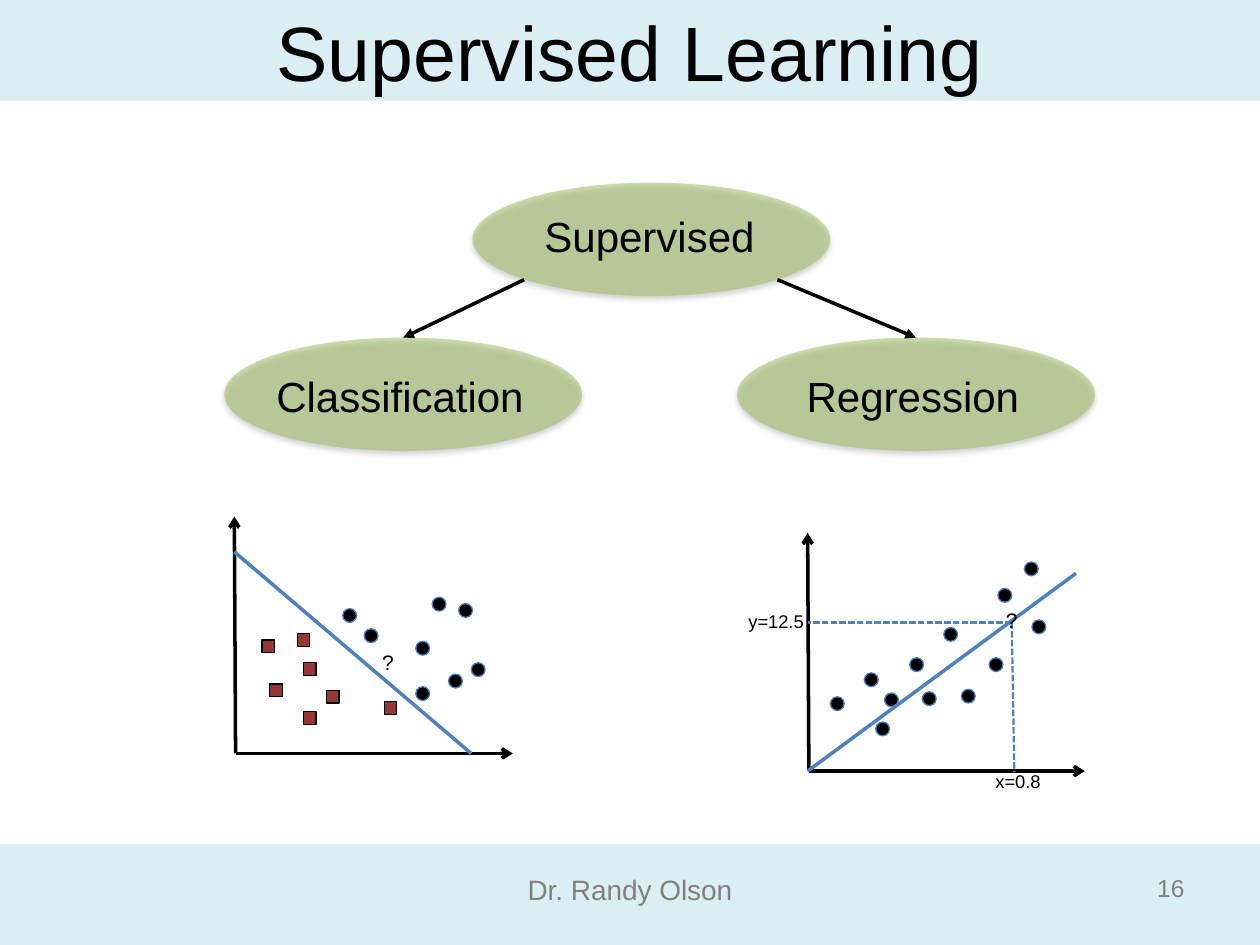
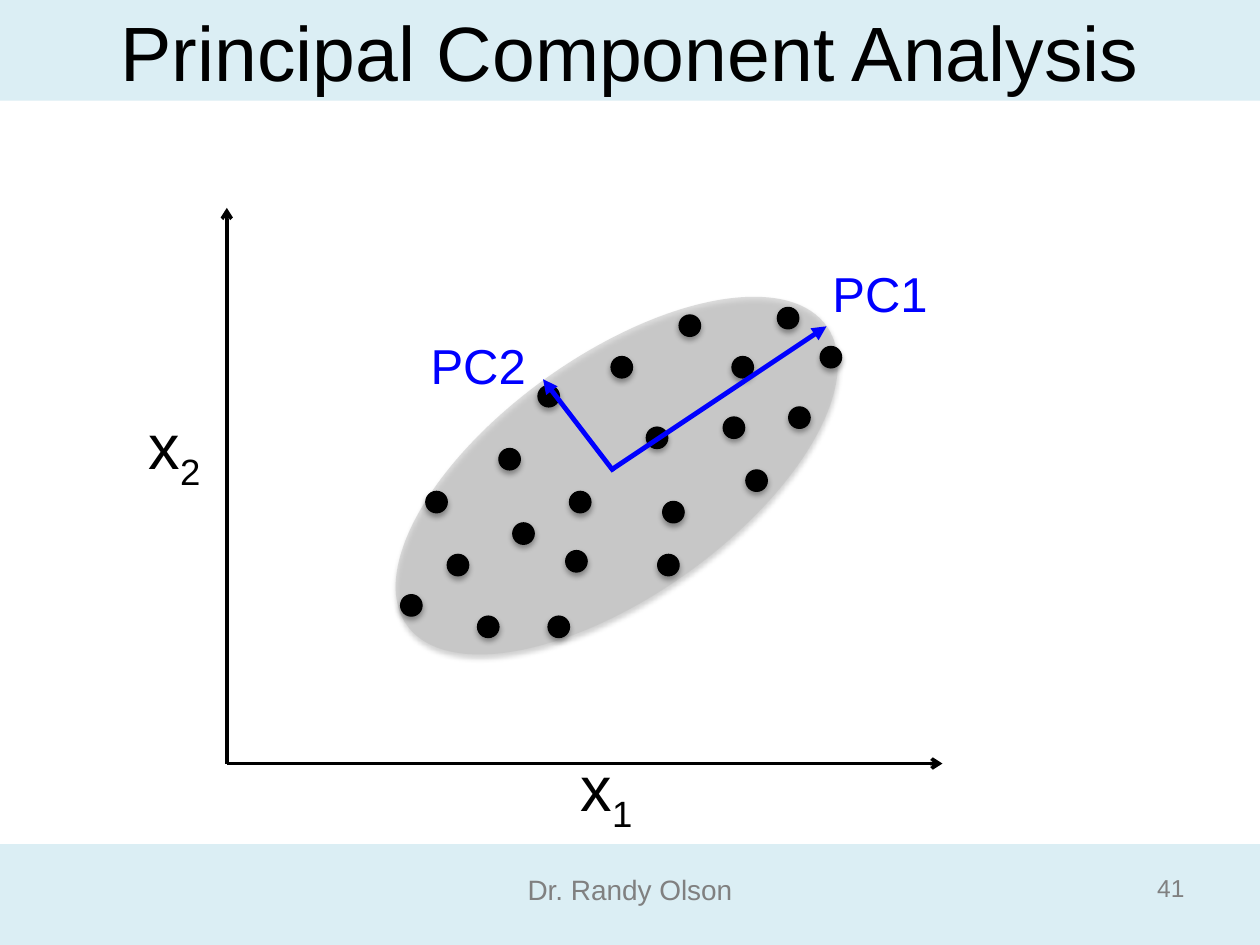
from pptx import Presentation
from pptx.dml.color import RGBColor
from pptx.enum.dml import MSO_LINE
from pptx.enum.shapes import MSO_CONNECTOR, MSO_SHAPE
from pptx.enum.text import MSO_ANCHOR, MSO_AUTO_SIZE, PP_ALIGN
from pptx.oxml.ns import qn
from pptx.util import Emu, Pt
from lxml import etree

PX = 9144  # 100 px to the inch
SLIDE_W, SLIDE_H, BAND_H = 1000, 750, 80
FONT = "Arial"
OVAL, RECT = MSO_SHAPE.OVAL, MSO_SHAPE.RECTANGLE
STRAIGHT = MSO_CONNECTOR.STRAIGHT
DASHED = MSO_LINE.SQUARE_DOT
CENTER, RIGHT = PP_ALIGN.CENTER, PP_ALIGN.RIGHT
TOP, MIDDLE = MSO_ANCHOR.TOP, MSO_ANCHOR.MIDDLE
C = {
    "band": "DBEEF4", "ink": "000000", "muted": "808080",
    "green": "9BBB59", "cloud": "BFBFBF", "red": "953735",
    "line": "4F81BD", "rim": "4B7EBC", "pc": "0000FF",
}

AUTHOR = "Dr. Randy Olson"

# Supervised learning: label, ellipse left and top, label left and top
NODE_SIZE = (284, 90)
NODES = [
    ("Supervised", (375, 145), (379, 162)),
    ("Classification", (178, 268), (181, 289)),
    ("Regression", (585, 268), (588, 289)),
]
BRANCH_STARTS = [(416, 222), (617, 222)]

# Axes: origin, tip of y axis, tip of x axis
CLASS_AXES = ((187, 598), (186, 410), (407, 598))
CLASS_BOUNDARY = ((186, 438), (374, 598))
CLASS_DOTS = [(330, 545), (356, 535), (330, 509), (343, 474), (364, 479),
              (374, 526), (272, 483), (289, 499)]
CLASS_SQUARES = [(208, 508), (214, 543), (241, 526), (305, 557), (236, 503),
                 (259, 548), (241, 565)]

REG_AXES = ((642, 612), (641, 423), (861, 612))
REG_FIT = ((641, 612), (854, 455))
REG_GUIDES = [((803, 494), (805, 613)), ((803, 494), (641, 494))]
REG_DOTS = [(659, 553), (686, 534), (702, 550), (722, 522), (732, 549),
            (749, 498), (785, 522), (792, 467), (763, 547), (819, 492),
            (813, 446), (695, 573)]
PLOT_LABELS = [
    ("x=0.8", (741, 606, 134, 29), 10.5),
    ("y=12.5", (549, 479, 134, 29), 10.5),
    ("?", (290, 511, 36, 30), 12),
    ("?", (785, 477, 36, 30), 12),
]

# Principal component analysis
PCA_AXES = ((180, 606), (180, 165), (748, 606))
PCA_CLOUD = (285, 282, 409, 191)
PCA_DOTS = [(355, 440), (396, 356), (485, 283), (581, 283), (513, 339),
            (522, 440), (592, 373), (626, 323), (651, 275), (617, 244),
            (539, 250), (427, 306), (435, 489), (452, 390), (526, 398),
            (449, 437), (407, 415), (379, 489), (318, 472), (338, 390),
            (574, 331)]
PCA_AXIS_LABELS = [("x", "1", (426, 589, 111, 71)), ("x", "2", (83, 318, 111, 71))]
PCA_VECTORS = [
    ((485, 373), (656, 259), "PC1", (643, 204, 111, 57)),
    ((487, 374), (431, 301), "PC2", (324, 261, 111, 57)),
]


def rgb(name):
    return RGBColor.from_string(C[name])


def emu(lengths):
    return [Emu(v * PX) for v in lengths]


def add_sub(parent, tag, **attrs):
    return etree.SubElement(parent, qn(tag), attrs)


def add_shape(slide, kind, box, fill, rim=None, alpha=None, shadow=False):
    sp = slide.shapes.add_shape(kind, *emu(box))
    sp.shadow.inherit = False
    sp.fill.solid()
    sp.fill.fore_color.rgb = rgb(fill)
    if rim:
        sp.line.color.rgb = rgb(rim)
        sp.line.width = Pt(0.75)
    else:
        sp.line.fill.background()
    sp_pr = sp._element.spPr
    if alpha:
        add_sub(sp_pr.find(qn("a:solidFill"))[0], "a:alpha", val=str(alpha * 1000))
    if shadow:
        outer = add_sub(sp_pr.find(qn("a:effectLst")), "a:outerShdw", blurRad="40000",
                        dist="23000", dir="5400000", rotWithShape="0")
        color = add_sub(outer, "a:srgbClr", val=C["ink"])
        add_sub(color, "a:alpha", val="35000")
    return sp


def add_marks(slide, kind, points, size, fill, rim, shadow=False):
    for x, y in points:
        add_shape(slide, kind, (x, y, size, size), fill, rim, shadow=shadow)


def add_line(slide, start, end, color="ink", width=2, head=None, dash=None):
    cx = slide.shapes.add_connector(STRAIGHT, *emu(start + end))
    cx.line.color.rgb = rgb(color)
    cx.line.width = Pt(width)
    if dash:
        cx.line.dash_style = dash
    sp_pr = cx._element.spPr
    if head:
        add_sub(sp_pr.find(qn("a:ln")), "a:tailEnd", type=head)
    add_sub(sp_pr, "a:effectLst")
    return cx


def add_axes(slide, axes):
    origin, *tips = axes
    for tip in tips:
        add_line(slide, origin, tip, head="arrow")


def add_text(slide, text, box, size, color="ink", align=CENTER, anchor=TOP, sub=None):
    """Add a one-line label, with an optional subscript run."""
    tf = slide.shapes.add_textbox(*emu(box)).text_frame
    tf.word_wrap = True
    tf.vertical_anchor = anchor
    tf.auto_size = MSO_AUTO_SIZE.SHAPE_TO_FIT_TEXT if anchor == TOP else MSO_AUTO_SIZE.NONE
    p = tf.paragraphs[0]
    p.text = text
    p.alignment = align
    if sub:
        r = p.add_run()
        r.text = sub
        r.font._element.set("baseline", "-25000")
    for r in p.runs:
        r.font.name = FONT
        r.font.size = Pt(size)
        r.font.color.rgb = rgb(color)


def new_slide(prs, title, number):
    """Add a blank slide with bands, title, author and page number."""
    slide = prs.slides.add_slide(prs.slide_layouts[6])
    for top in (SLIDE_H - BAND_H, 0):
        add_shape(slide, RECT, (0, top, SLIDE_W, BAND_H), "band")
    add_text(slide, AUTHOR, (50, 688, 900, 37), 16, "muted")
    add_text(slide, title, (50, -22, 900, 125), 44, anchor=MIDDLE)
    add_text(slide, str(number), (874, 684, 76, 41), 14, "muted", RIGHT, MIDDLE)
    return slide


def build_supervised(prs):
    slide = new_slide(prs, "Supervised Learning", 16)
    ovals = []
    for label, place, label_place in NODES:
        ovals.append(add_shape(slide, OVAL, place + NODE_SIZE, "green", alpha=49, shadow=True))
        add_text(slide, label, label_place + (273, 50), 24)
    for start, oval in zip(BRANCH_STARTS, ovals[1:]):
        add_line(slide, start, start, head="triangle").end_connect(oval, 0)

    add_axes(slide, REG_AXES)
    add_marks(slide, OVAL, REG_DOTS, 11, "ink", "rim")
    add_line(slide, *REG_FIT, "line")
    for start, end in REG_GUIDES:
        add_line(slide, start, end, "line", 1.25, dash=DASHED)

    add_axes(slide, CLASS_AXES)
    add_line(slide, *CLASS_BOUNDARY, "line")
    add_marks(slide, OVAL, CLASS_DOTS, 11, "ink", "rim")
    add_marks(slide, RECT, CLASS_SQUARES, 10, "red", "ink")
    for label, box, size in PLOT_LABELS:
        add_text(slide, label, box, size)


def build_pca(prs):
    slide = new_slide(prs, "Principal Component Analysis", 41)
    add_axes(slide, PCA_AXES)
    cloud = add_shape(slide, OVAL, PCA_CLOUD, "cloud", alpha=52, shadow=True)
    cloud.rotation = 324.5
    add_marks(slide, OVAL, PCA_DOTS, 17, "ink", "ink", shadow=True)
    for label, sub, box in PCA_AXIS_LABELS:
        add_text(slide, label, box, 36, sub=sub)
    for start, end, label, box in PCA_VECTORS:
        add_line(slide, start, end, "pc", 2.75, "triangle")
        add_text(slide, label, box, 28, "pc")


def main():
    prs = Presentation()
    prs.slide_width, prs.slide_height = emu((SLIDE_W, SLIDE_H))
    build_supervised(prs)
    build_pca(prs)
    prs.save("out.pptx")


if __name__ == "__main__":
    main()
